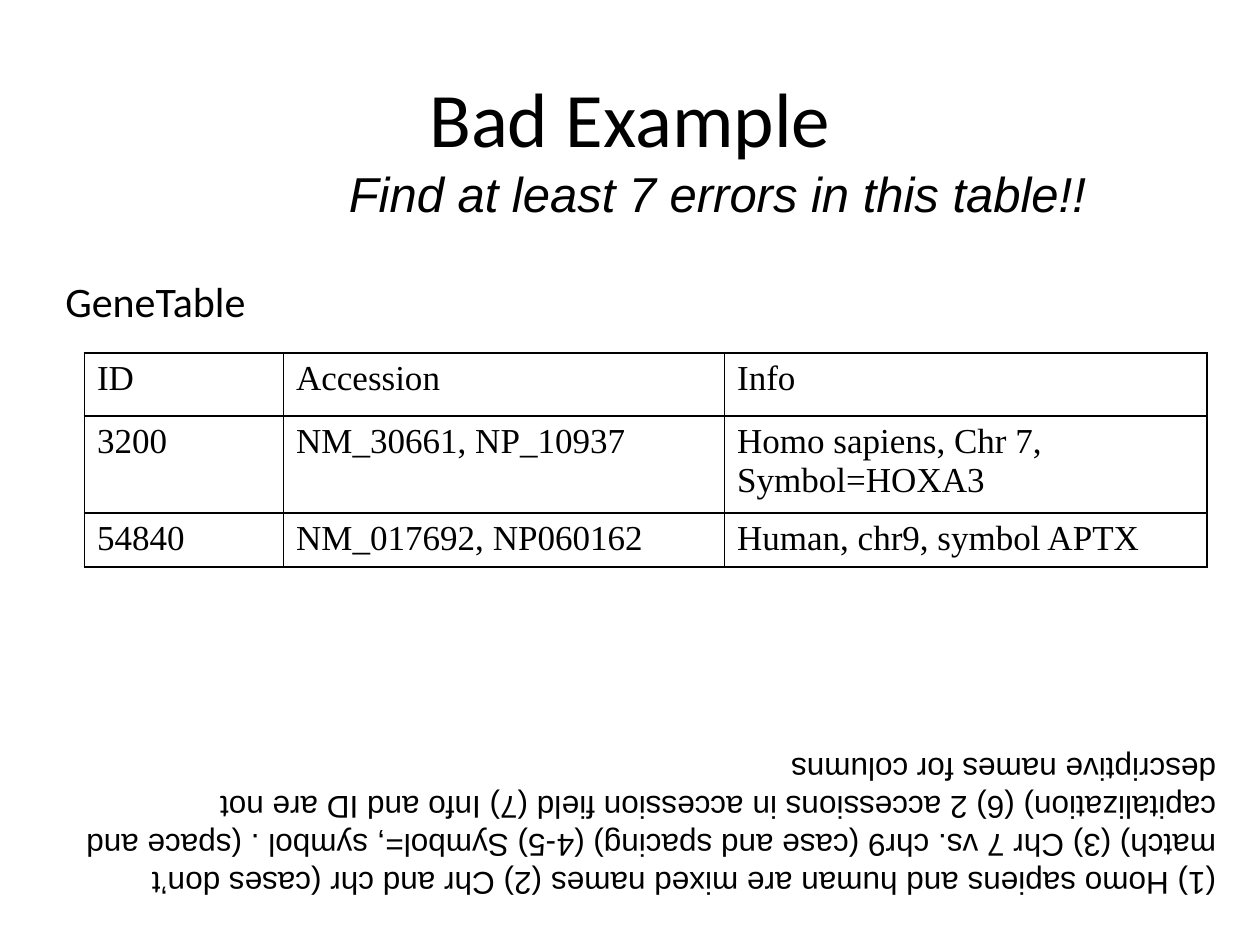
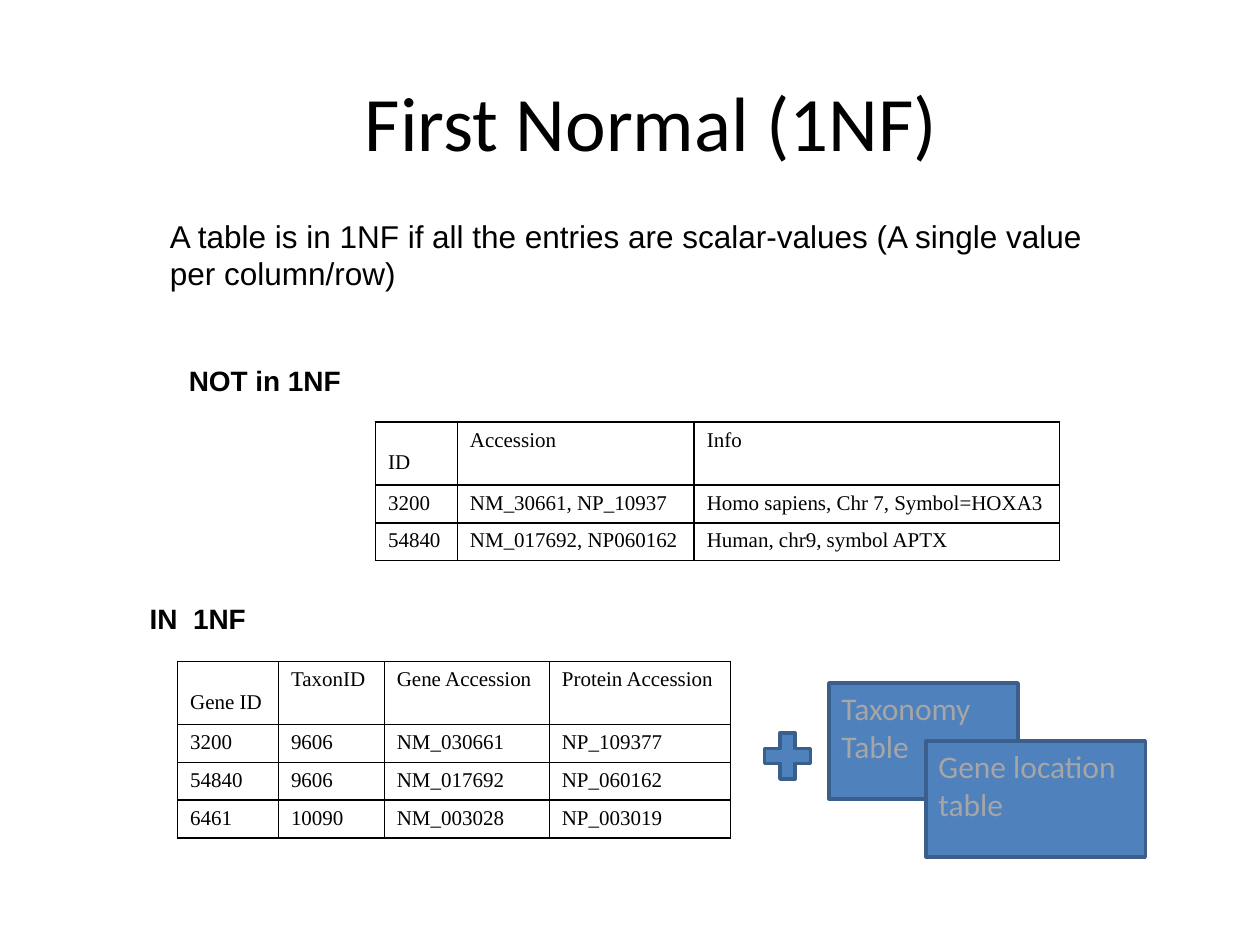
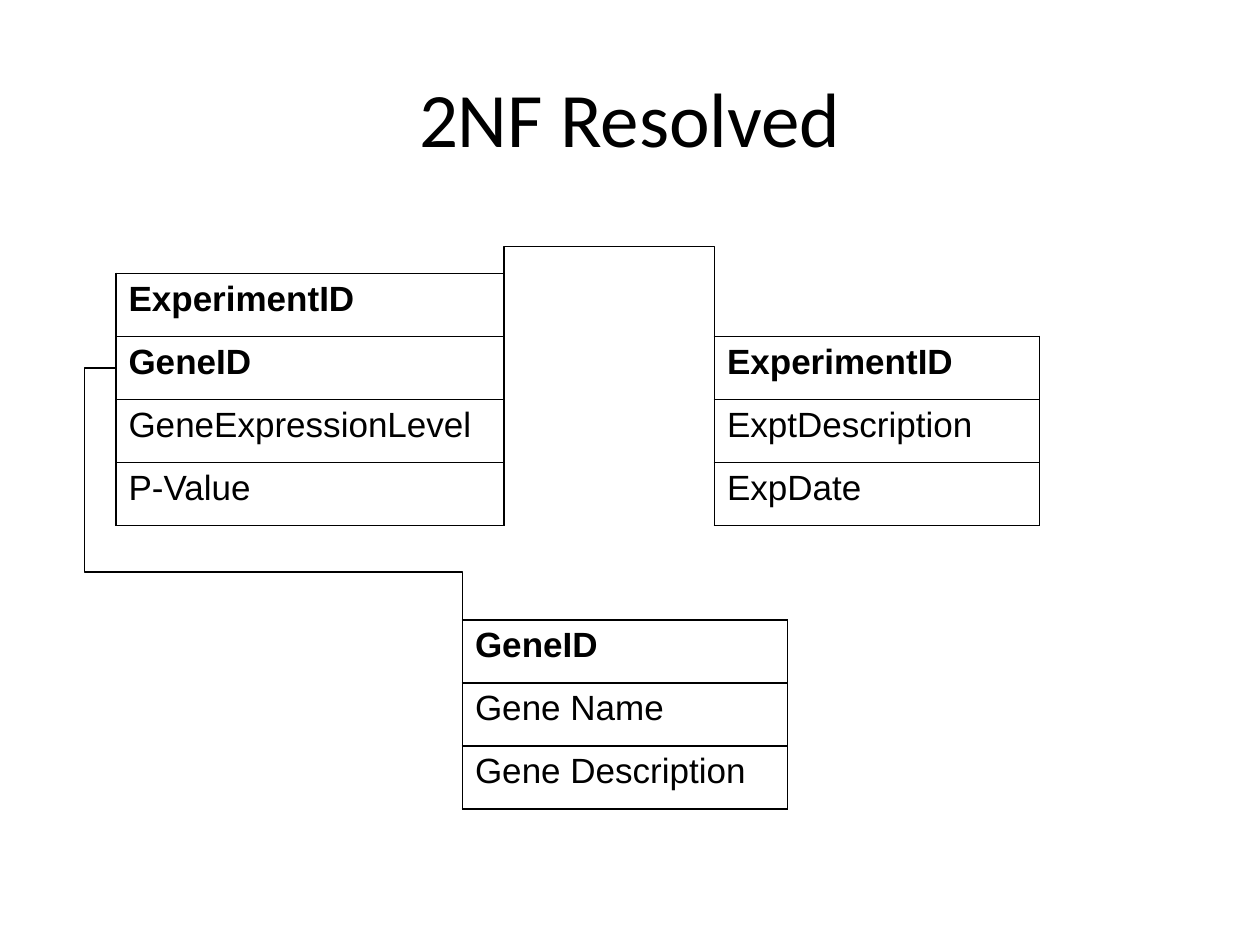
from lxml.etree import SubElement
from pptx import Presentation
from pptx.dml.color import RGBColor
from pptx.enum.shapes import MSO_CONNECTOR as Connector, MSO_SHAPE as Shape
from pptx.enum.text import MSO_ANCHOR as Anchor, MSO_AUTO_SIZE as AutoSize, PP_ALIGN as Align
from pptx.oxml.ns import qn
from pptx.util import Inches, Pt

COLORS = {"ink": "000000", "fill": "4F81BD", "edge": "3A5F8C", "muted": "A6A6A6"}
BODY, HEADING, SERIF = "Arial", "Calibri", "Times New Roman"
TITLE_AREA = (0.5, 0.3, 9, 1.25)

GENE_ROWS = [
    ("ID", "Accession", "Info"),
    ("3200", "NM_30661, NP_10937", "Homo sapiens, Chr 7, Symbol=HOXA3"),
    ("54840", "NM_017692, NP060162", "Human, chr9, symbol APTX"),
]
SPLIT_ROWS = [
    ("Gene ID", "TaxonID", "Gene Accession", "Protein Accession"),
    ("3200", "9606", "NM_030661", "NP_109377"),
    ("54840", "9606", "NM_017692", "NP_060162"),
    ("6461", "10090", "NM_003028", "NP_003019"),
]
ANSWERS = (
    "(1) Homo sapiens and human are mixed names (2) Chr and chr (cases don’t match) "
    "(3) Chr 7 vs. chr9 (case and spacing) (4-5) Symbol=, symbol . (space and capitalization) "
    "(6) 2 accessions in accession field (7) Info and ID are not descriptive names for columns"
)
DEFINITION = (
    "A table is in 1NF if all the entries are scalar-values (A single value per column/row)"
)
OTHER_TABLES = [
    ("Taxonomy Table", (6.58, 5.42, 1.5, 0.92)),
    ("Gene location table", (7.35, 5.88, 1.74, 0.92)),
]
PLUS_AREA = (6, 5.75, 0.5, 0.5)

FIELD_HEIGHT = 0.5
EXPRESSION = (0.92, 2.17, 3.08)
EXPERIMENT = (5.67, 2.67, 2.58)
GENE = (3.67, 4.92, 2.58)
ENTITIES = [
    (EXPRESSION, ["ExperimentID", "GeneID"], ["GeneExpressionLevel", "P-Value"]),
    (EXPERIMENT, ["ExperimentID"], ["ExptDescription", "ExpDate"]),
    (GENE, ["GeneID"], ["Gene Name", "Gene Description"]),
]


def color(name):
    return RGBColor.from_string(COLORS[name])


def place(area):
    return [Inches(length) for length in area]


def write(frame, text, size, face, ink="ink", bold=False, italic=False, align=Align.LEFT):
    para = frame.paragraphs[0]
    para.text = text
    para.alignment = align
    font = para.font
    font.size, font.name, font.bold, font.italic = Pt(size), face, bold, italic
    font.color.rgb = color(ink)


def add_text(page, area, text, size, face=BODY, wrap=False, anchor=Anchor.TOP, **style):
    box = page.shapes.add_textbox(*place(area))
    frame = box.text_frame
    frame.word_wrap = wrap
    frame.auto_size = AutoSize.NONE
    frame.vertical_anchor = anchor
    write(frame, text, size, face, **style)
    return box


def add_title(page, text, area=TITLE_AREA):
    add_text(page, area, text, 44, HEADING, True, Anchor.MIDDLE, align=Align.CENTER)


def add_borders(cell):
    properties = cell._tc.get_or_add_tcPr()
    for side in ("lnL", "lnR", "lnT", "lnB"):
        line = SubElement(properties, qn(f"a:{side}"), w=str(Pt(1)))
        fill = SubElement(line, qn("a:solidFill"))
        SubElement(fill, qn("a:srgbClr"), val=COLORS["ink"])


def add_grid(page, left, top, widths, heights, rows, size, face, bold_rows=0):
    area = (left, top, sum(widths), sum(heights))
    table = page.shapes.add_table(len(rows), len(widths), *place(area)).table
    table.first_row = table.horz_banding = False
    for column, width in zip(table.columns, widths):
        column.width = Inches(width)
    for index, (height, texts) in enumerate(zip(heights, rows)):
        table.rows[index].height = Inches(height)
        for cell, text in zip(table.rows[index].cells, texts):
            add_borders(cell)
            cell.fill.background()
            write(cell.text_frame, text, size, face, bold=index < bold_rows)
    return table


def add_block(page, kind, area, text=""):
    block = page.shapes.add_shape(kind, *place(area))
    block.shadow.inherit = False
    block.fill.solid()
    block.fill.fore_color.rgb = color("fill")
    block.line.color.rgb = color("edge")
    block.line.width = Pt(2)
    if text:
        block.text_frame.vertical_anchor = Anchor.TOP
        write(block.text_frame, text, 18, HEADING, "muted")


def add_elbow(page, start, end, bends):
    middle_x, middle_y = [(a + b) / 2 for a, b in zip(start, end)]
    half_width, half_height = abs(start[1] - end[1]) / 2, abs(start[0] - end[0]) / 2
    corners = (middle_x + half_width, middle_y - half_height,
               middle_x - half_width, middle_y + half_height)
    link = page.shapes.add_connector(Connector.ELBOW, *place(corners))
    link.line.color.rgb = color("ink")
    link.line.width = Pt(0.75)
    properties = link._element.spPr
    properties.find(qn("a:xfrm")).set("rot", str(90 * 60000))
    geometry = properties.find(qn("a:prstGeom"))
    geometry.set("prst", f"bentConnector{len(bends) + 2}")
    guides = geometry.find(qn("a:avLst"))
    for number, bend in enumerate(bends, 1):
        SubElement(guides, qn("a:gd"), name=f"adj{number}" , fmla=f"val {round(bend * 100000)}")
    SubElement(properties, qn("a:effectLst"))


def build_bad_example(page):
    add_title(page, "Bad Example")
    add_text(page, (0.42, 2.14, 1.85, 0.5), "GeneTable", 24, HEADING, anchor=Anchor.MIDDLE)
    add_grid(page, 0.67, 2.8, (1.58, 3.5, 3.83), (0.5, 0.77, 0.43), GENE_ROWS, 20, SERIF)
    add_text(page, (2.67, 1.25, 6.18, 0.57), "Find at least 7 errors in this table!!", 28,
             italic=True)
    add_text(page, (0.42, 5.92, 9.33, 1.3), ANSWERS, 18, wrap=True).rotation = 180


def build_first_normal(page):
    add_title(page, "First Normal (1NF)", (0.67, 0.33, 9, 1.25))
    add_text(page, (1.25, 1.67, 7.84, 0.7), DEFINITION, 18, wrap=True)
    for area, label in [((1.4, 2.83, 1.41, 0.37), "NOT in 1NF"),
                        ((1.09, 4.72, 0.97, 0.37), "IN  1NF")]:
        add_text(page, area, label, 16, anchor=Anchor.MIDDLE, bold=True)
    for left, top, widths, rows in [(2.98, 3.35, (0.65, 1.88, 2.9), GENE_ROWS),
                                    (1.41, 5.25, (0.8, 0.84, 1.31, 1.44), SPLIT_ROWS)]:
        heights = [0.5] + [0.3] * (len(rows) - 1)
        table = add_grid(page, left, top, widths, heights, rows, 12, SERIF)
        table.cell(0, 0).margin_top = Inches(0.23)
    for text, area in OTHER_TABLES:
        add_block(page, Shape.RECTANGLE, area, text)
    add_block(page, Shape.MATH_PLUS, PLUS_AREA)


def build_second_normal(page):
    for (left, top, width), keys, fields in ENTITIES:
        rows = [(name,) for name in keys + fields]
        add_grid(page, left, top, [width], [FIELD_HEIGHT] * len(rows), rows, 20, BODY, len(keys))
    add_title(page, "2NF Resolved")
    left, top, width = EXPRESSION
    add_elbow(page, GENE[:2], (left, top + 1.5 * FIELD_HEIGHT), (0.19, 1.09))
    add_elbow(page, EXPERIMENT[:2], (left + width, top), (1.43,))


def main():
    deck = Presentation()
    deck.slide_width, deck.slide_height = Inches(10), Inches(7.5)
    for build in (build_bad_example, build_first_normal, build_second_normal):
        build(deck.slides.add_slide(deck.slide_layouts[6]))
    deck.save("out.pptx")


if __name__ == "__main__":
    main()
